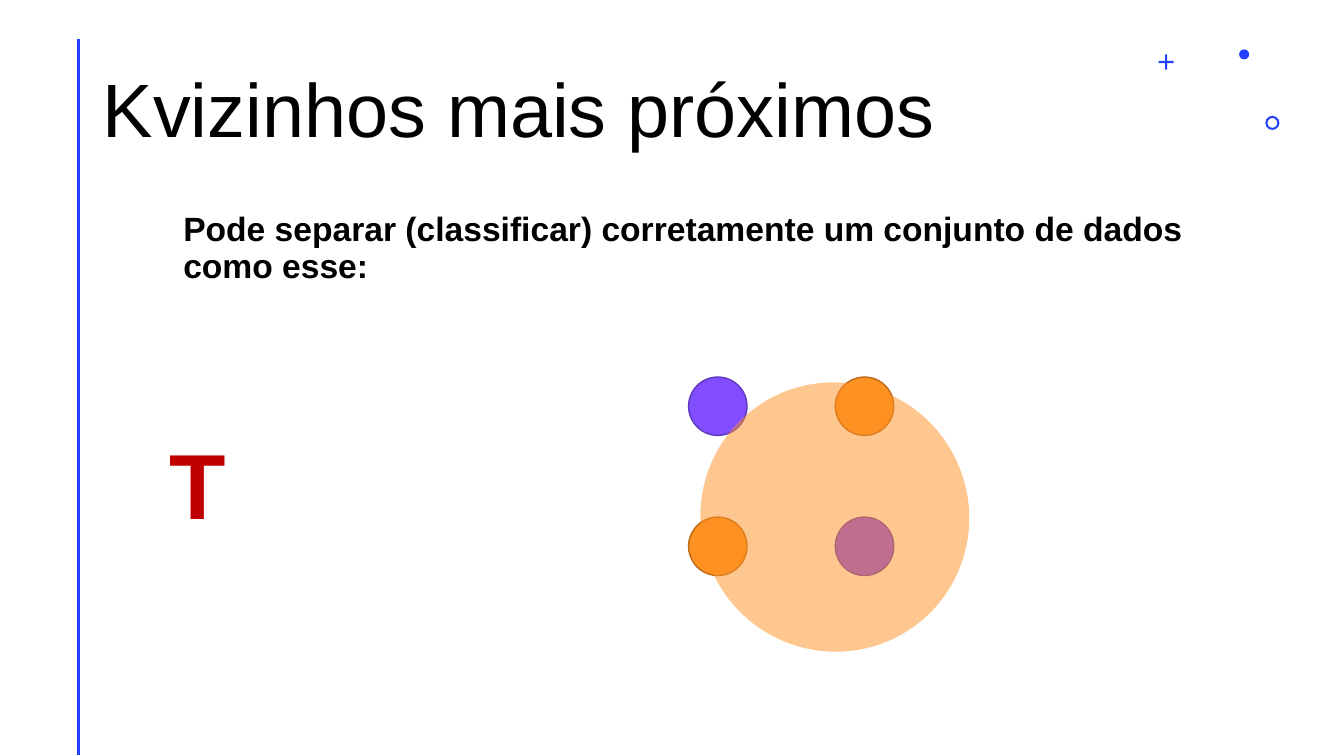
from pptx import Presentation
from pptx.dml.color import RGBColor
from pptx.enum.shapes import MSO_CONNECTOR, MSO_SHAPE
from pptx.enum.text import MSO_ANCHOR
from pptx.oxml.xmlchemy import OxmlElement
from pptx.util import Inches, Pt

BLUE = RGBColor(0x24, 0x3F, 0xFF)
ORANGE = RGBColor(0xFF, 0x90, 0x22)
DARK_ORANGE = RGBColor(0xBD, 0x6B, 0x19)
PURPLE = RGBColor(0x81, 0x4D, 0xFF)
DARK_PURPLE = RGBColor(0x5F, 0x39, 0xBD)
RED = RGBColor(0xC0, 0x00, 0x00)
BLACK = RGBColor(0, 0, 0)
OVAL, CROSS, DONUT = MSO_SHAPE.OVAL, MSO_SHAPE.CROSS, MSO_SHAPE.DONUT
STRAIGHT = MSO_CONNECTOR.STRAIGHT
TOP, MIDDLE, BOTTOM = MSO_ANCHOR.TOP, MSO_ANCHOR.MIDDLE, MSO_ANCHOR.BOTTOM

presentation = Presentation()
presentation.slide_width = Inches(13.33)
presentation.slide_height = Inches(7.5)
slide = presentation.slides.add_slide(presentation.slide_layouts[6])


def frame(left, top, width, height):
    """Turn percentages of the slide's width and height into lengths."""
    across, down = presentation.slide_width / 100, presentation.slide_height / 100
    return [round(length) for length in
            (left * across, top * down, width * across, height * down)]


def add_text(text, place, size, color=BLACK, bold=False, anchor=TOP,
             wrap=True, line_spacing=1.0):
    """Add a one-paragraph text box in Arial."""
    text_frame = slide.shapes.add_textbox(*frame(*place)).text_frame
    text_frame.word_wrap = wrap
    text_frame.vertical_anchor = anchor
    paragraph = text_frame.paragraphs[0]
    paragraph.line_spacing = line_spacing
    run = paragraph.add_run()
    run.text = text
    run.font.name = "Arial"
    run.font.size = Pt(size)
    run.font.bold = bold
    run.font.color.rgb = color


# Vertical rule at the left margin
margin_rule = slide.shapes.add_connector(STRAIGHT, *frame(5.85, 5.2, 5.85, 99.87))
margin_rule.line.color.rgb = BLUE
margin_rule.line.width = Pt(2)
margin_rule._element.spPr.append(OxmlElement("a:effectLst"))

add_text("Kvizinhos mais próximos", (6.9, 5.33, 86.27, 19.33), 54,
         anchor=MIDDLE, line_spacing=0.9)
add_text("Pode separar (classificar) corretamente um conjunto de dados como esse:",
         (12.9, 24.93, 76.59, 13.47), 24, bold=True, anchor=BOTTOM, line_spacing=0.9)
add_text("T", (11.85, 55.87, 5.78, 16.13), 66, color=RED, bold=True, wrap=False)

# Corner ornaments, then a two by two grid of points in alternating classes
ellipses = [
    (CROSS, (86.2, 7.2, 1.13, 2), BLUE, None, 0.43),
    (DONUT, (94.15, 15.33, 1.05, 1.87), BLUE, None, 0.15),
    (OVAL, (92.2, 6.53, 0.75, 1.33), BLUE, None, None),
]
classes = [(PURPLE, DARK_PURPLE), (ORANGE, DARK_ORANGE)]
for row in range(2):
    for column in range(2):
        fill, outline = classes[(row + column) % 2]
        place = (51.23 + 10.92 * column, 49.87 + 18.53 * row, 4.35, 7.73)
        ellipses.append((OVAL, place, fill, outline, None))
ellipses.append((OVAL, (52.14, 50.53, 19.95, 35.73), ORANGE, None, None))

for kind, place, fill, outline, adjustment in ellipses:
    shape = slide.shapes.add_shape(kind, *frame(*place))
    shape.shadow.inherit = False
    shape.fill.solid()
    shape.fill.fore_color.rgb = fill
    if outline is None:
        shape.line.fill.background()
    else:
        shape.line.color.rgb = outline
        shape.line.width = Pt(1)
    if adjustment is not None:
        shape.adjustments[0] = adjustment

# The last shape is the neighbourhood, half transparent over the points
neighbourhood = shape
neighbourhood.rotation = 322.6
alpha = OxmlElement("a:alpha")
alpha.set("val", "50000")
neighbourhood._element.spPr.find(".//{*}srgbClr").append(alpha)

presentation.save("out.pptx")
